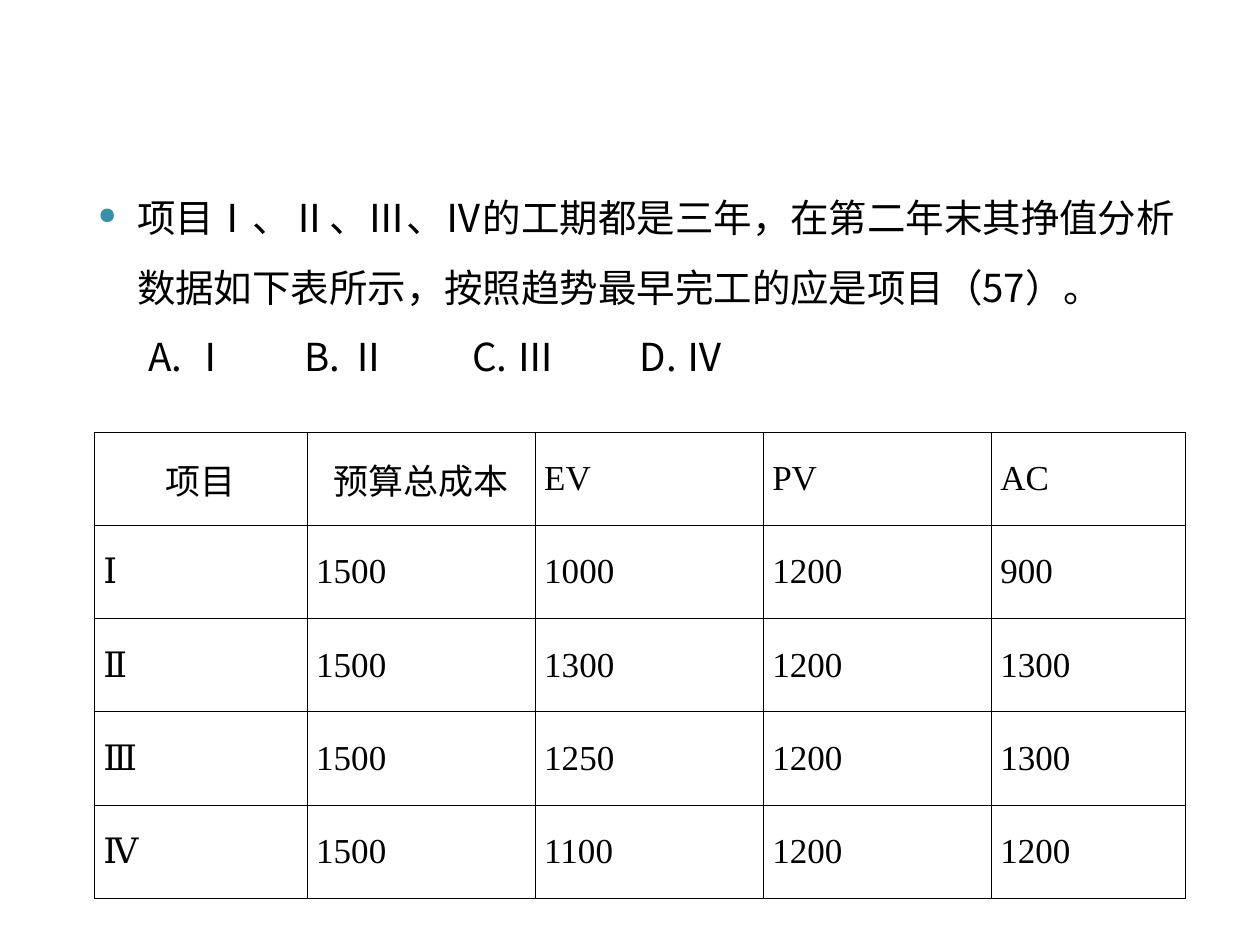
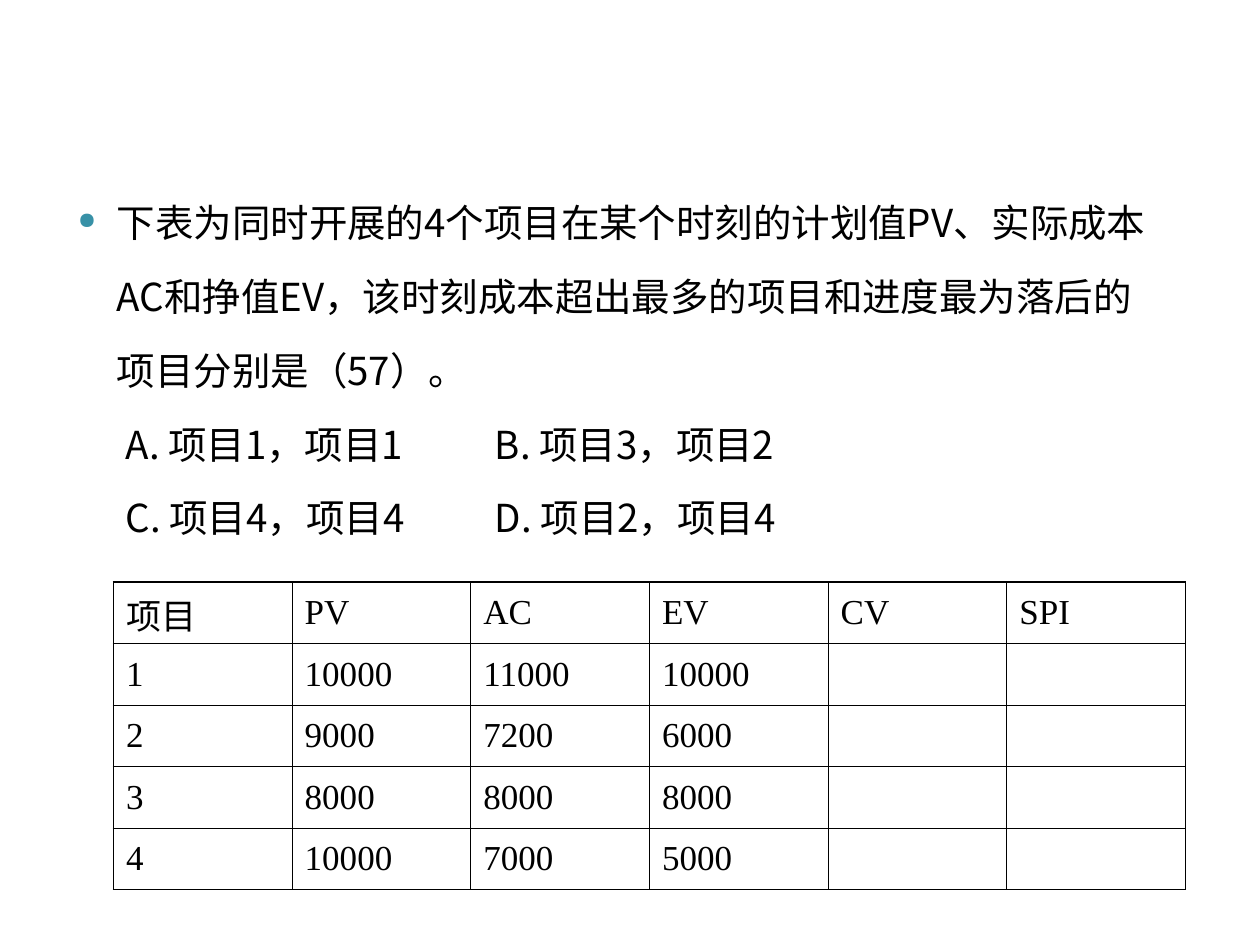
import pptx
import pptx.dml.color
import pptx.enum.text
import pptx.oxml.ns
import pptx.util
from dataclasses import dataclass
from lxml import etree

Inches = pptx.util.Inches
Pt = pptx.util.Pt
Align = pptx.enum.text.PP_ALIGN


@dataclass(frozen=True)
class Theme:
    """Colours, fonts and sizes shared by the slides."""
    ink: str = "000000"
    paper: str = "FFFFFF"
    accent: str = "3891A7"
    question_font: str = "Noto Sans CJK SC"
    table_font: str = "Times New Roman"
    east_asian_font: str = "Noto Sans CJK SC"
    question_size: float = 22
    table_size: float = 20
    bullet_percent: int = 60
    text_margin: float = 0.4
    thin_rule: float = 0.45
    thick_rule: float = 1.08


THEME = Theme()


def rgb(value):
    """Turn a hex string into a colour."""
    return pptx.dml.color.RGBColor.from_string(value)


def add_xml(parent, tag, **attributes):
    """Append a DrawingML element and return it."""
    return etree.SubElement(parent, pptx.oxml.ns.qn(f"a:{tag}"),
                            {name: str(value) for name, value in attributes.items()})


def style_runs(paragraph, font_name, size):
    """Give each run its size, colour and Latin and East Asian font."""
    for run in paragraph.runs:
        run.font.size = Pt(size)
        run.font.name = font_name
        run.font.color.rgb = rgb(THEME.ink)
        add_xml(run.font._element, "ea", typeface=THEME.east_asian_font)


def set_indent(paragraph, first_line):
    """Set the shared left margin and the first line indent."""
    properties = paragraph._p.get_or_add_pPr()
    properties.set("marL", str(Inches(THEME.text_margin)))
    properties.set("indent", str(Inches(first_line)))
    return properties


def add_bullet(paragraph):
    """Hang a round accent bullet in front of the paragraph."""
    properties = set_indent(paragraph, -0.31)
    add_xml(add_xml(properties, "buClr"), "srgbClr", val=THEME.accent)
    add_xml(properties, "buSzPct", val=THEME.bullet_percent * 1000)
    add_xml(properties, "buChar", char="●")


def add_question(slide, box, question, answer_rows, answer_indent, answer_pitch, spacing):
    """Place the bulleted question and its answers, tabbed at an equal pitch."""
    frame = slide.shapes.add_textbox(*map(Inches, box)).text_frame
    frame.word_wrap = True
    frame.auto_size = pptx.enum.text.MSO_AUTO_SIZE.SHAPE_TO_FIT_TEXT
    frame.text = "\n".join([question] + ["\t".join(row) for row in answer_rows])
    for paragraph in frame.paragraphs:
        paragraph.line_spacing = spacing
        style_runs(paragraph, THEME.question_font, THEME.question_size)
    add_bullet(frame.paragraphs[0])
    for paragraph in frame.paragraphs[1:]:
        set_indent(paragraph, answer_indent).set("defTabSz", str(Inches(answer_pitch)))


def add_borders(cell, widths):
    """Draw the left, right, top and bottom rules of a cell."""
    for side, width in zip("LRTB", widths):
        rule = add_xml(cell._tc.get_or_add_tcPr(), f"ln{side}", w=Pt(width))
        add_xml(add_xml(rule, "solidFill"), "srgbClr", val=THEME.ink)


def add_data_table(slide, box, rows, column_widths, inset, outer_rule,
                   align=None, centred=(), space_before=None):
    """Place a ruled table; centred lists the (row, column) cells to centre."""
    last_row, last_column = len(rows) - 1, len(column_widths) - 1
    table = slide.shapes.add_table(len(rows), len(column_widths),
                                   *map(Inches, box)).table
    table.first_row = table.horz_banding = False
    for column, width in zip(table.columns, column_widths):
        column.width = Inches(width)
    for r, values in enumerate(rows):
        table.rows[r].height = Inches(box[3] / len(rows))
        for c, value in enumerate(values):
            cell = table.cell(r, c)
            edges = (c == 0, c == last_column, r == 0, r == last_row)
            add_borders(cell, [outer_rule if edge else THEME.thin_rule for edge in edges])
            cell.fill.solid()
            cell.fill.fore_color.rgb = rgb(THEME.paper)
            cell.margin_left = cell.margin_right = Inches(inset)
            cell.vertical_anchor = pptx.enum.text.MSO_ANCHOR.MIDDLE
            cell.text_frame.text = value
            paragraph = cell.text_frame.paragraphs[0]
            paragraph.alignment = Align.CENTER if (r, c) in centred else align
            if value and space_before:
                paragraph.space_before = Pt(space_before)
            style_runs(paragraph, THEME.table_font, THEME.table_size)


def add_trend_slide(deck):
    """Build the question on the project that finishes first."""
    slide = deck.slides.add_slide(deck.slide_layouts[6])
    add_question(
        slide, (0.59, 1.31, 8.9, 1.75),
        "项目Ⅰ、Ⅱ、Ⅲ、Ⅳ的工期都是三年\uff0c在第二年末其挣值分析数据如下表所示\uff0c"
        "按照趋势最早完工的应是项目\uff0857\uff09。",
        [["A. Ⅰ", "B. Ⅱ", "C. Ⅲ", "D. Ⅳ"]],
        answer_indent=0.09, answer_pitch=1.33, spacing=1.5)
    add_data_table(
        slide, (0.75, 3.43, 8.66, 3.7),
        [["项目", "预算总成本", "EV", "PV", "AC"],
         ["Ⅰ", "1500", "1000", "1200", "900"],
         ["Ⅱ", "1500", "1300", "1200", "1300"],
         ["Ⅲ", "1500", "1250", "1200", "1300"],
         ["Ⅳ", "1500", "1100", "1200", "1200"]],
        [1.69, 1.81, 1.81, 1.81, 1.54], inset=0.07, outer_rule=THEME.thin_rule,
        align=Align.JUSTIFY, centred={(0, 0), (0, 1)})


def add_variance_slide(deck):
    """Build the question on cost overrun and schedule delay."""
    slide = deck.slides.add_slide(deck.slide_layouts[6])
    add_question(
        slide, (0.43, 1.31, 8.9, 3.03),
        "下表为同时开展的4个项目在某个时刻的计划值PV、实际成本AC和挣值EV\uff0c"
        "该时刻成本超出最多的项目和进度最为落后的项目分别是\uff0857\uff09。",
        [["A. 项目1\uff0c项目1", "B. 项目3\uff0c项目2"],
         ["C. 项目4\uff0c项目4", "D. 项目2\uff0c项目4"]],
        answer_indent=0.07, answer_pitch=3, spacing=1.6)
    add_data_table(
        slide, (0.9, 4.62, 8.51, 2.44),
        [["项目", "PV", "AC", "EV", "CV", "SPI"],
         ["1", "10000", "11000", "10000", "", ""],
         ["2", "9000", "7200", "6000", "", ""],
         ["3", "8000", "8000", "8000", "", ""],
         ["4", "10000", "7000", "5000", "", ""]],
        [8.51 / 6] * 6, inset=0.1, outer_rule=THEME.thick_rule, space_before=5)


def main():
    """Build the deck and save it."""
    deck = pptx.Presentation()
    deck.slide_width, deck.slide_height = Inches(10), Inches(7.5)
    add_trend_slide(deck)
    add_variance_slide(deck)
    deck.save("out.pptx")


main()
